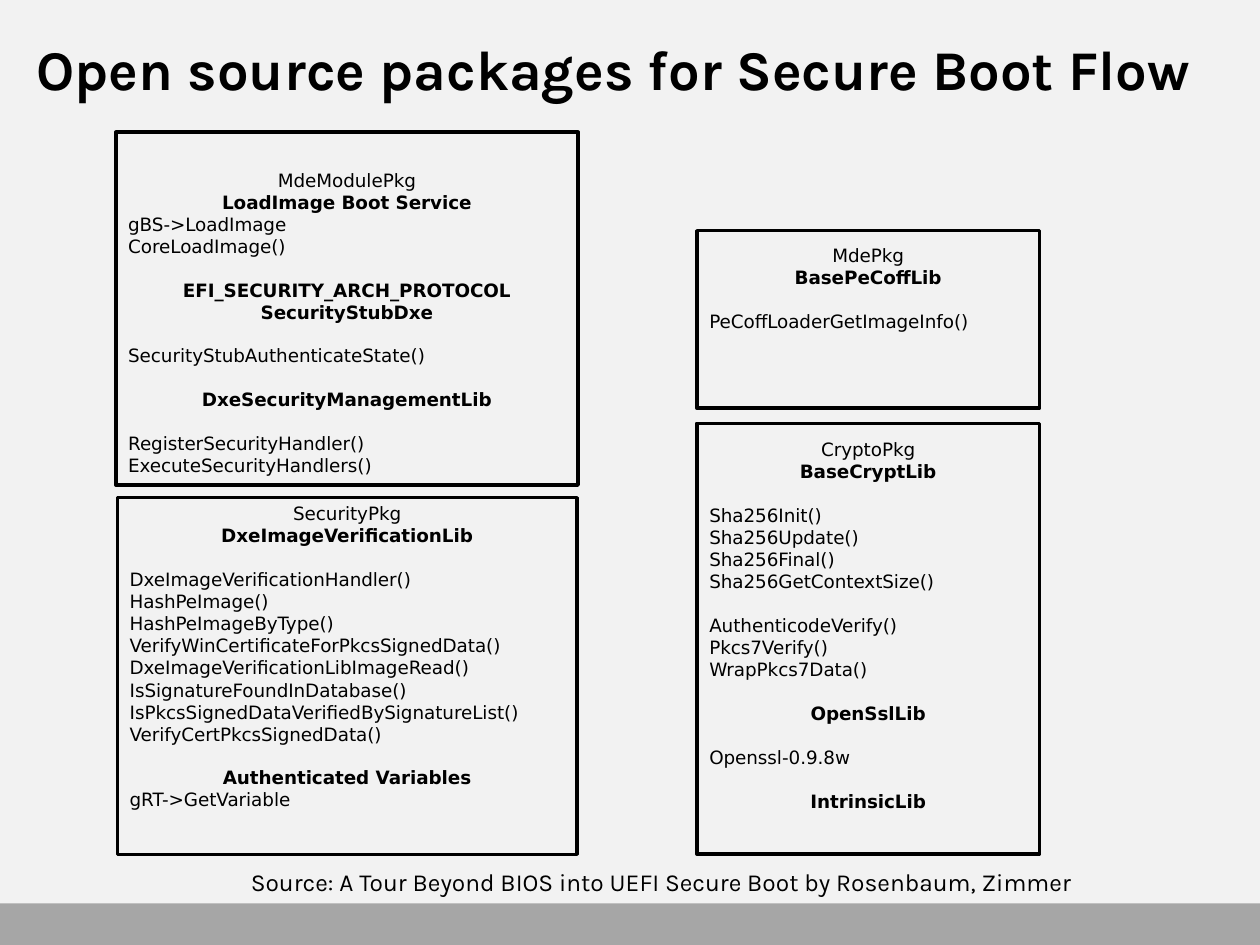
from pptx import Presentation
from pptx.dml.color import RGBColor
from pptx.enum.shapes import MSO_SHAPE as Shape
from pptx.enum.text import MSO_ANCHOR as Anchor, MSO_AUTO_SIZE as AutoSize, PP_ALIGN as Align
from pptx.util import Pt

TITLE = "Open source packages for Secure Boot Flow"
SOURCE = "Source: A Tour Beyond BIOS into UEFI Secure Boot by Rosenbaum, Zimmer"

PACKAGES = [
    {
        "frame": (66.2, 75.6, 264.2, 201.6),
        "text_top": 92.9,
        "groups": [
            {"package": ["MdeModulePkg"],
             "library": ["LoadImage Boot Service"],
             "call": ["gBS->LoadImage", "CoreLoadImage()"]},
            {"library": ["EFI_SECURITY_ARCH_PROTOCOL", "SecurityStubDxe"]},
            {"call": ["SecurityStubAuthenticateState()"]},
            {"library": ["DxeSecurityManagementLib"]},
            {"call": ["RegisterSecurityHandler()", "ExecuteSecurityHandlers()"]},
        ],
    },
    {
        "frame": (67, 284.4, 262.8, 203.8),
        "text_top": 283.7,
        "groups": [
            {"package": ["SecurityPkg"], "library": ["DxeImageVerificationLib"]},
            {"call": ["DxeImageVerificationHandler()", "HashPeImage()",
                      "HashPeImageByType()",
                      "VerifyWinCertificateForPkcsSignedData()",
                      "DxeImageVerificationLibImageRead()",
                      "IsSignatureFoundInDatabase()",
                      "IsPkcsSignedDataVerifiedBySignatureList()",
                      "VerifyCertPkcsSignedData()"]},
            {"library": ["Authenticated Variables"], "call": ["gRT->GetVariable"]},
        ],
    },
    {
        "frame": (398.2, 131.8, 195.8, 101.5),
        "text_top": 136.1,
        "groups": [
            {"package": ["MdePkg"], "library": ["BasePeCoffLib"]},
            {"call": ["PeCoffLoaderGetImageInfo()"]},
        ],
    },
    {
        "frame": (398.2, 241.9, 195.8, 246.2),
        "text_top": 247,
        "groups": [
            {"package": ["CryptoPkg"], "library": ["BaseCryptLib"]},
            {"call": ["Sha256Init()", "Sha256Update()", "Sha256Final()",
                      "Sha256GetContextSize()"]},
            {"call": ["AuthenticodeVerify()", "Pkcs7Verify()", "WrapPkcs7Data()"]},
            {"library": ["OpenSslLib"]},
            {"call": ["Openssl-0.9.8w"]},
            {"library": ["IntrinsicLib"]},
        ],
    },
]

THEME = {
    "background": RGBColor(0xF2, 0xF2, 0xF2),
    "band": RGBColor(0xA6, 0xA6, 0xA6),
    "ink": RGBColor(0, 0, 0),
    "display_font": "Karla",
    "listing_font": "DejaVu Sans",
    "title": 32,
    "source": 14,
    "listing": 10.5,
    "group_gap": 12.5,
    "outline": 2,
}
LINE_FORMATS = {
    "package": {"align": Align.CENTER},
    "library": {"align": Align.CENTER, "bold": True},
    "call": {"align": Align.LEFT},
}


def write(paragraph, text, font, size, bold=False, align=Align.LEFT, before=0):
    paragraph.alignment = align
    paragraph.space_before = Pt(before)
    run = paragraph.add_run()
    run.text = text
    run.font.name = font
    run.font.size = Pt(size)
    run.font.bold = bold
    run.font.color.rgb = THEME["ink"]


def add_rectangle(slide, bounds, fill=None, outline=None):
    rectangle = slide.shapes.add_shape(Shape.RECTANGLE, *map(Pt, bounds))
    rectangle.shadow.inherit = False
    if fill is None:
        rectangle.fill.background()
    else:
        rectangle.fill.solid()
        rectangle.fill.fore_color.rgb = fill
    if outline is None:
        rectangle.line.fill.background()
    else:
        rectangle.line.color.rgb = outline
        rectangle.line.width = Pt(THEME["outline"])


def add_textbox(slide, bounds):
    frame = slide.shapes.add_textbox(*map(Pt, bounds)).text_frame
    frame.word_wrap = True
    return frame


def add_title(slide):
    title = slide.shapes.title
    title.left, title.top, title.width, title.height = map(Pt, (20.9, 4.3, 684, 69.8))
    frame = title.text_frame
    frame.auto_size = AutoSize.NONE
    frame.vertical_anchor = Anchor.MIDDLE
    frame.margin_left = frame.margin_right = frame.margin_top = frame.margin_bottom = 0
    write(frame.paragraphs[0], TITLE, THEME["display_font"], THEME["title"], bold=True)


def add_package(slide, package):
    left, top, width, height = package["frame"]
    text_top = package["text_top"]
    listing = add_textbox(slide, (left, text_top, width, top + height - text_top))
    paragraph = listing.paragraphs[0]
    for group_index, group in enumerate(package["groups"]):
        gap = THEME["group_gap"] if group_index else 0
        for kind, lines in group.items():
            for line in lines:
                if paragraph.runs:
                    paragraph = listing.add_paragraph()
                write(paragraph, line, THEME["listing_font"], THEME["listing"],
                      before=gap, **LINE_FORMATS[kind])
                gap = 0
    add_rectangle(slide, package["frame"], outline=THEME["ink"])


def main():
    deck = Presentation()
    deck.slide_width, deck.slide_height = Pt(720), Pt(540)
    slide = deck.slides.add_slide(deck.slide_layouts[5])
    slide.background.fill.solid()
    slide.background.fill.fore_color.rgb = THEME["background"]

    add_rectangle(slide, (0, 516.2, 720, 23.8), fill=THEME["band"])
    add_title(slide)
    source = add_textbox(slide, (36, 491.8, 684, 24.5))
    write(source.paragraphs[0], SOURCE, THEME["display_font"], THEME["source"],
          align=Align.CENTER)
    for package in PACKAGES:
        add_package(slide, package)
    deck.save("out.pptx")


if __name__ == "__main__":
    main()
